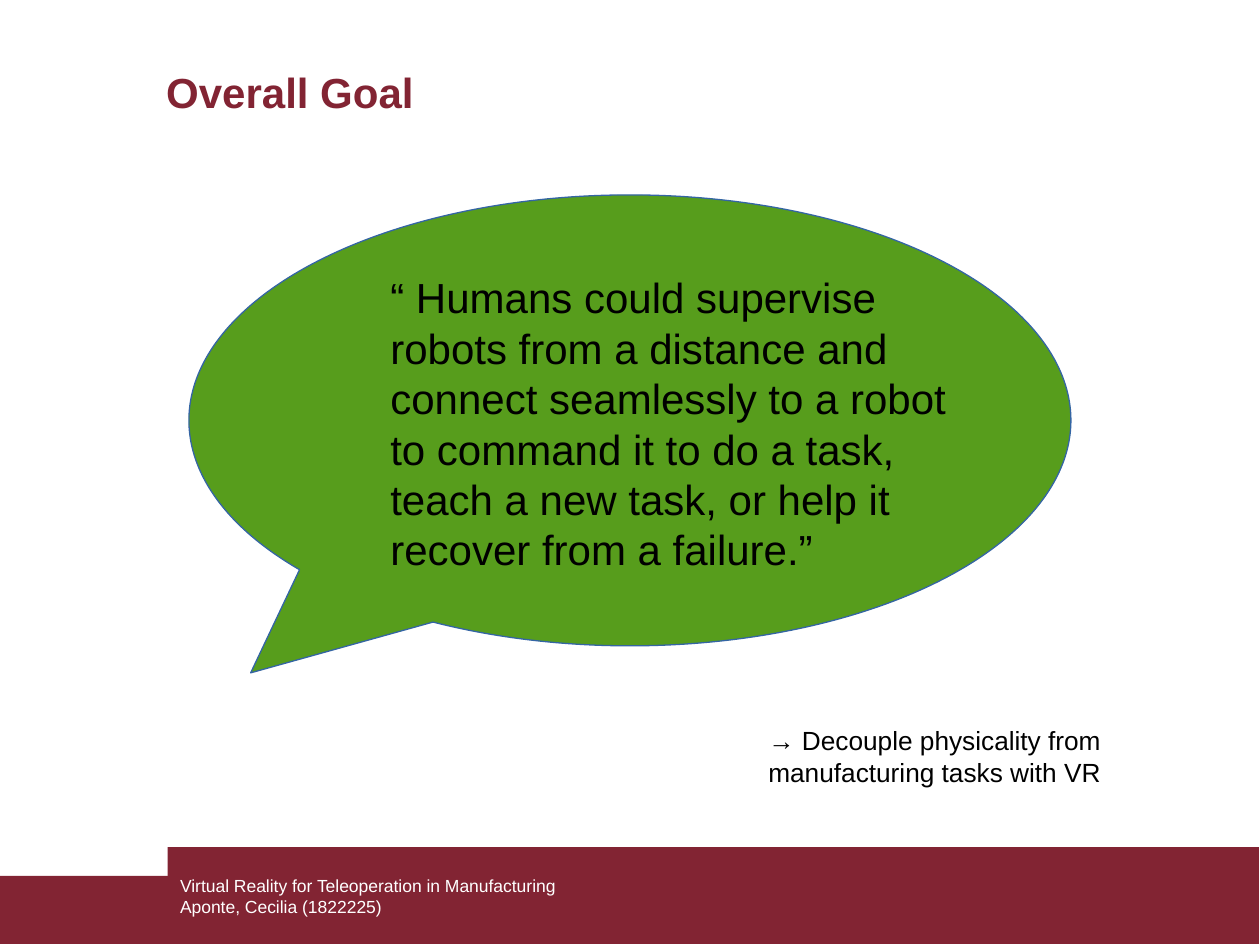
from pptx import Presentation
from pptx.dml.color import RGBColor
from pptx.enum.shapes import MSO_SHAPE as Kind
from pptx.enum.text import MSO_ANCHOR as Anchor, PP_ALIGN as Align
from pptx.util import Cm, Pt

FONT = "Arial"
WINE, GREEN, BLUE = "822433", "579D1C", "3465A4"
BLACK, WHITE = "000000", "FFFFFF"
LEAD = 1.2  # line pitch as a multiple of the text size


def color(code):
    return RGBColor.from_string(code)


def write(shape, lines, size, ink, bold=False, anchor=Anchor.TOP):
    frame = shape.text_frame
    frame.word_wrap = True
    frame.vertical_anchor = anchor
    frame.margin_left = frame.margin_right = Cm(0.25)
    frame.margin_top = frame.margin_bottom = Cm(0.13)
    for i, line in enumerate(lines):
        para = frame.add_paragraph() if i else frame.paragraphs[0]
        para.alignment = Align.LEFT
        para.line_spacing = Pt(size * LEAD)
        run = para.add_run()
        run.text = line
        font = run.font
        font.name, font.size, font.bold = FONT, Pt(size), bold
        font.color.rgb = color(ink)


def draw(slide, kind, box, fill, line=None):
    shape = slide.shapes.add_shape(kind, *map(Cm, box))
    shape.shadow.inherit = False
    shape.fill.solid()
    shape.fill.fore_color.rgb = color(fill)
    if line:
        shape.line.color.rgb = color(line)
        shape.line.width = Pt(0.75)
    else:
        shape.line.fill.background()
    return shape


def add_title(slide, box, text):
    title = slide.shapes.title
    title.left, title.top, title.width, title.height = map(Cm, box)
    write(title, [text], 24, WINE, bold=True, anchor=Anchor.MIDDLE)


def add_quote(slide, box, text):
    x, y, w, h = box
    # Speech bubble, its tip at the lower left
    bubble = draw(slide, Kind.OVAL_CALLOUT, box, GREEN, BLUE)
    bubble.adjustments[0] = -0.43
    bubble.adjustments[1] = 0.56
    # Words inside it
    note = slide.shapes.add_textbox(
        Cm(x + 3.81), Cm(y + 1.42), Cm(w * 0.7), Cm(h - 1.42))
    write(note, [text], 24, BLACK)


def add_point(slide, box, text):
    write(slide.shapes.add_textbox(*map(Cm, box)), [text], 15, BLACK)


def add_footer(slide, box, lines):
    x, y, w, h = box
    tab, step = 3.38, 0.58
    # Low band over the full width, then the raised band with the text
    draw(slide, Kind.RECTANGLE, (x, y + step, w, h - step), WINE)
    band = draw(slide, Kind.RECTANGLE, (x + tab, y, w - tab, h), WINE)
    write(band, lines, 10, WHITE, anchor=Anchor.MIDDLE)


def main():
    deck = Presentation()
    deck.slide_width, deck.slide_height = Cm(25.4), Cm(19.05)
    slide = deck.slides.add_slide(deck.slide_layouts[5])
    add_title(slide, (3.1, 1.14, 21, 1.4), "Overall Goal")
    add_quote(slide, (3.81, 3.93, 17.78, 9.09),
              "“ Humans could supervise robots from a distance and connect "
              "seamlessly to a robot to command it to do a task, teach a new "
              "task, or help it recover from a failure.”")
    add_point(slide, (15.24, 14.48, 8.89, 2.54),
              "→ Decouple physicality from manufacturing tasks with VR")
    add_footer(slide, (0, 17.08, 25.38, 1.95),
               ["Virtual Reality for Teleoperation in Manufacturing",
                "Aponte, Cecilia (1822225)"])
    deck.save("out.pptx")


if __name__ == "__main__":
    main()
